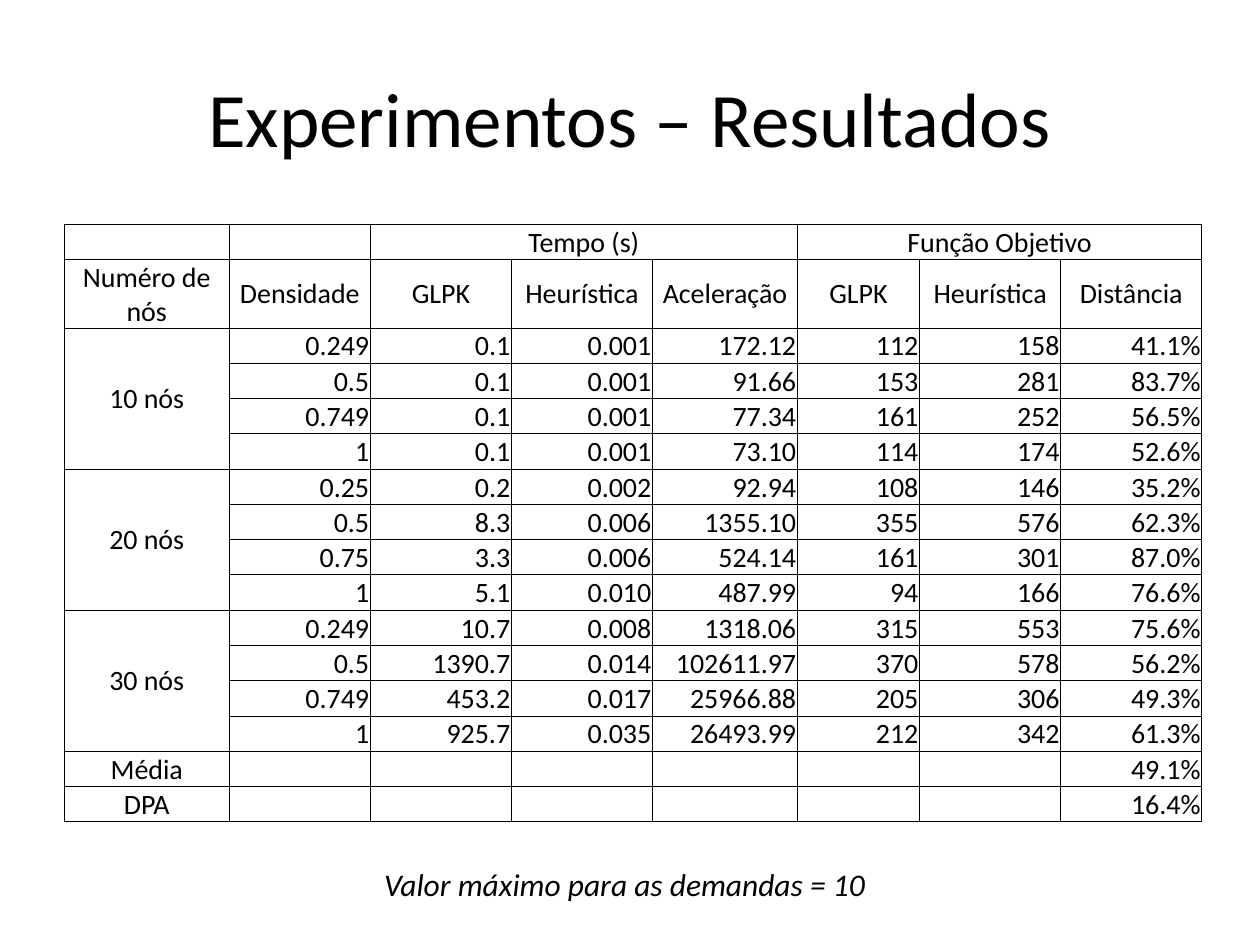
from dataclasses import dataclass

from lxml import etree
from pptx import Presentation, util as u
from pptx.dml.color import RGBColor
from pptx.enum import text
from pptx.oxml.ns import qn

FONT = "Calibri"
BLACK = "000000"
BODY_SIZE = 16
ROW_HEIGHT = 0.28
COLUMN_WIDTHS = [1.31, 1.12, 1.12, 1.12, 1.15, 0.97, 1.12, 1.12]
HEADINGS = ["Numéro de nós", "Densidade", "GLPK", "Heurística", "Aceleração",
            "GLPK", "Heurística", "Distância"]
CENTER, RIGHT = text.PP_ALIGN.CENTER, text.PP_ALIGN.RIGHT


@dataclass
class NodeGroup:
    """Results for one network size, one row per density."""
    label: str
    results: list[str]


@dataclass
class Span:
    """A block of merged cells."""
    row: int
    column: int
    rows: int
    columns: int


@dataclass
class Line:
    """A line of text outside the table."""
    wording: str
    box: tuple[float, float, float, float]
    size: int
    italic: bool = False
    wrap: bool = True


GROUPS = [
    NodeGroup("10 nós", ["0.249 0.1 0.001 172.12 112 158 41.1%",
                         "0.5 0.1 0.001 91.66 153 281 83.7%",
                         "0.749 0.1 0.001 77.34 161 252 56.5%",
                         "1 0.1 0.001 73.10 114 174 52.6%"]),
    NodeGroup("20 nós", ["0.25 0.2 0.002 92.94 108 146 35.2%",
                         "0.5 8.3 0.006 1355.10 355 576 62.3%",
                         "0.75 3.3 0.006 524.14 161 301 87.0%",
                         "1 5.1 0.010 487.99 94 166 76.6%"]),
    NodeGroup("30 nós", ["0.249 10.7 0.008 1318.06 315 553 75.6%",
                         "0.5 1390.7 0.014 102611.97 370 578 56.2%",
                         "0.749 453.2 0.017 25966.88 205 306 49.3%",
                         "1 925.7 0.035 26493.99 212 342 61.3%"]),
]
SUMMARY = [("Média", "49.1%"), ("DPA", "16.4%")]
TITLE = Line("Experimentos – Resultados", (0.5, 0.3, 9, 1.25), 44)
CAPTION = Line("Valor máximo para as demandas = 10", (2.95, 6.82, 4.13, 0.4), 18,
               italic=True, wrap=False)


def color(value: str) -> RGBColor:
    """Turn a hex string into a colour."""
    return RGBColor.from_string(value)


def format_font(font, size: int, italic: bool = False) -> None:
    """Apply the slide's typeface and colour."""
    font.name, font.size, font.italic = FONT, u.Pt(size), italic
    font.color.rgb = color(BLACK)


def add_line(slide, line: Line):
    """Add a line of text and return its frame."""
    frame = slide.shapes.add_textbox(*map(u.Inches, line.box)).text_frame
    frame.word_wrap = line.wrap
    frame.text = line.wording
    format_font(frame.paragraphs[0].runs[0].font, line.size, line.italic)
    return frame


def add_borders(cell) -> None:
    """Draw a thin black line on all four sides of a cell."""
    properties = cell._tc.get_or_add_tcPr()
    for position, side in enumerate(("lnL", "lnR", "lnT", "lnB")):
        border = etree.Element(qn(f"a:{side}"), w=str(u.Pt(0.5)))
        fill = etree.SubElement(border, qn("a:solidFill"))
        etree.SubElement(fill, qn("a:srgbClr"), val=BLACK)
        properties.insert(position, border)


def fill_cell(cell, wording: str, alignment) -> None:
    """Write and format one table cell."""
    cell.margin_left = cell.margin_right = cell.margin_top = u.Inches(0.01)
    cell.margin_bottom = 0
    cell.vertical_anchor = text.MSO_ANCHOR.MIDDLE
    cell.fill.background()
    add_borders(cell)
    paragraph = cell.text_frame.paragraphs[0]
    paragraph.alignment = alignment
    if wording:
        paragraph.text = wording
        format_font(paragraph.runs[0].font, BODY_SIZE)
    else:
        etree.SubElement(paragraph._p, qn("a:endParaRPr"), sz=str(BODY_SIZE * 100))


def table_rows() -> list[list[str]]:
    """Lay out headings, results and summary as rows of text."""
    rows = [["", "", "Tempo (s)", "", "", "Função Objetivo", "", ""], HEADINGS]
    for group in GROUPS:
        for index, result in enumerate(group.results):
            rows.append([group.label if index == 0 else "", *result.split()])
    gap = [""] * (len(HEADINGS) - 2)
    return rows + [[label, *gap, value] for label, value in SUMMARY]


def add_results(slide) -> None:
    """Add the table of results."""
    rows = table_rows()
    table = slide.shapes.add_table(
        len(rows), len(HEADINGS), u.Inches(0.51), u.Inches(1.78),
        u.Inches(sum(COLUMN_WIDTHS)), u.Inches(ROW_HEIGHT * len(rows))).table
    table.first_row = table.horz_banding = False
    for column, width in zip(table.columns, COLUMN_WIDTHS):
        column.width = u.Inches(width)
    for r, row in enumerate(rows):
        table.rows[r].height = u.Inches(ROW_HEIGHT)
        for c, wording in enumerate(row):
            fill_cell(table.cell(r, c), wording, CENTER if r < 2 or c == 0 else RIGHT)
    spans = [Span(0, 2, 1, 3), Span(0, 5, 1, 3)]
    spans += [Span(2 + 4 * index, 0, 4, 1) for index in range(len(GROUPS))]
    for span in spans:
        last = table.cell(span.row + span.rows - 1, span.column + span.columns - 1)
        table.cell(span.row, span.column).merge(last)


def main() -> None:
    """Build and save the slide."""
    deck = Presentation()
    deck.slide_width, deck.slide_height = u.Inches(10), u.Inches(7.5)
    slide = deck.slides.add_slide(deck.slide_layouts[6])
    title = add_line(slide, TITLE)
    title.vertical_anchor = text.MSO_ANCHOR.MIDDLE
    title.paragraphs[0].alignment = CENTER
    add_results(slide)
    add_line(slide, CAPTION).auto_size = text.MSO_AUTO_SIZE.SHAPE_TO_FIT_TEXT
    deck.save("out.pptx")


main()
